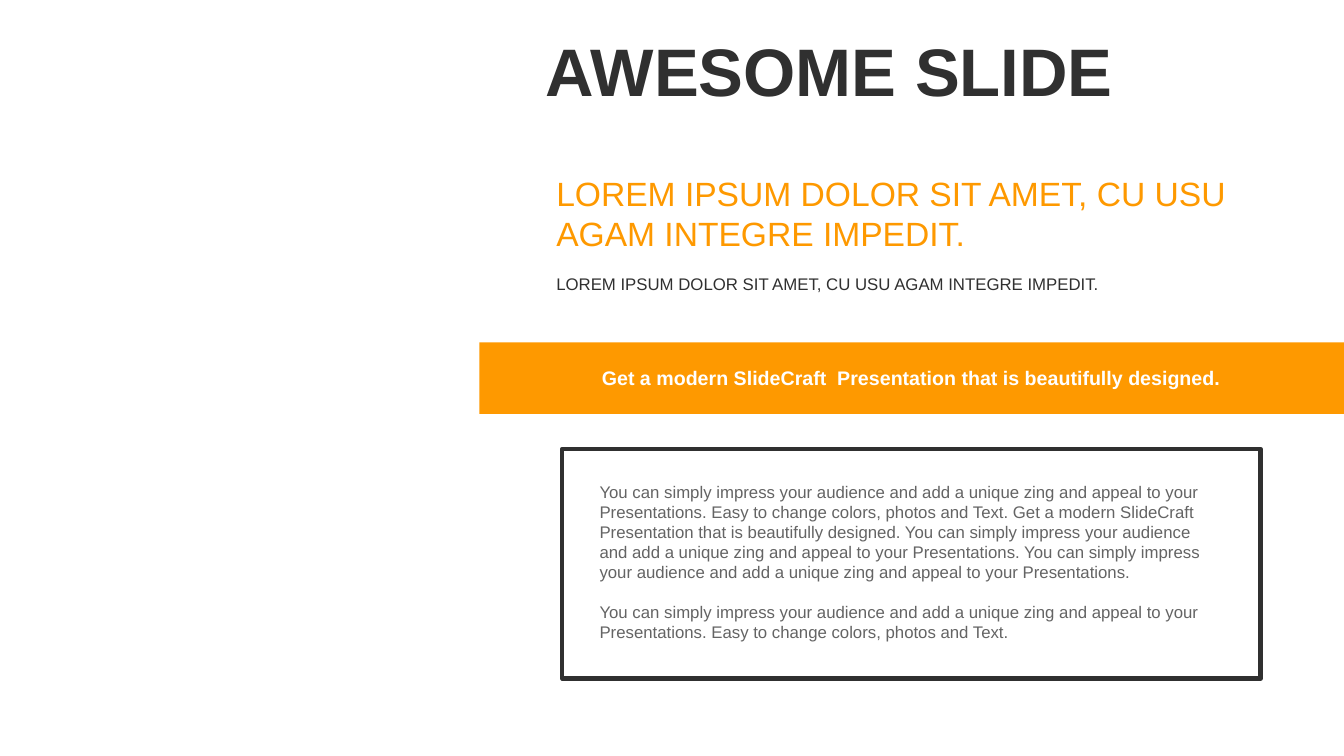
"""Build a slide with a heading, an orange banner and a framed text block."""
from dataclasses import dataclass

from pptx import Presentation
from pptx.dml.color import RGBColor
from pptx.enum.shapes import MSO_SHAPE as Shape
from pptx.enum.text import MSO_ANCHOR as Anchor, MSO_AUTO_SIZE as AutoSize, PP_ALIGN as Align
from pptx.util import Cm, Pt


@dataclass(frozen=True)
class Theme:
    """Colours, font and type sizes of the slide."""
    font: str = "Arial"
    dark: str = "303030"
    accent: str = "FE9900"
    muted: str = "646464"
    light: str = "FFFFFF"
    title: int = 48
    headline: int = 24
    banner: int = 14
    body: int = 12


def write(frame, *texts, size, color, font, bold=False, align=Align.LEFT, spacing=None, gap=0):
    """Write each text as a paragraph, with the gap between paragraphs."""
    for index, text in enumerate(texts):
        para = frame.add_paragraph() if index else frame.paragraphs[0]
        para.alignment = align
        if spacing:
            para.line_spacing = spacing
        if index:
            para.space_before = Pt(gap)
        span = para.add_run()
        span.text = text
        span.font.name = font
        span.font.size = Pt(size)
        span.font.bold = bold
        span.font.color.rgb = RGBColor.from_string(color)


class PageBuilder:
    """Place styled elements on the current page."""

    def __init__(self, page, theme):
        self.page = page
        self.theme = theme

    def rectangle(self, left, top, width, height, fill=None, line=None, weight=3):
        """Add a plain rectangle with an optional fill and outline."""
        box = self.page.shapes.add_shape(
            Shape.RECTANGLE, Cm(left), Cm(top), Cm(width), Cm(height))
        box.shadow.inherit = False
        if fill:
            box.fill.solid()
            box.fill.fore_color.rgb = RGBColor.from_string(fill)
        else:
            box.fill.background()
        if line:
            box.line.color.rgb = RGBColor.from_string(line)
            box.line.width = Pt(weight)
        else:
            box.line.fill.background()

    def text(self, left, top, width, height, *texts, anchor=Anchor.TOP, grow=True, **style):
        """Add a wrapping text box."""
        box = self.page.shapes.add_textbox(Cm(left), Cm(top), Cm(width), Cm(height))
        frame = box.text_frame
        frame.word_wrap = True
        frame.auto_size = AutoSize.SHAPE_TO_FIT_TEXT if grow else AutoSize.NONE
        frame.vertical_anchor = anchor
        write(frame, *texts, font=self.theme.font, **style)


def main():
    """Compose and save the deck."""
    theme = Theme()
    deck = Presentation()
    deck.slide_width, deck.slide_height = Cm(33.87), Cm(19.05)
    builder = PageBuilder(deck.slides.add_slide(deck.slide_layouts[6]), theme)

    lorem = "LOREM IPSUM DOLOR SIT AMET, CU USU AGAM INTEGRE IMPEDIT."
    impress = ("You can simply impress your audience and add a unique zing "
               "and appeal to your Presentations.")
    change = "Easy to change colors, photos and Text."
    modern = "Get a modern SlideCraft  Presentation that is beautifully designed."

    builder.text(13.51, 0.89, 15.21, 1.98, "AWESOME SLIDE", anchor=Anchor.MIDDLE, grow=False,
                 size=theme.title, color=theme.dark, bold=True, spacing=0.9)
    builder.text(13.77, 4.22, 18.01, 2.31, lorem, anchor=Anchor.MIDDLE,
                 size=theme.headline, color=theme.accent)
    builder.text(13.77, 6.76, 18.01, 0.76, lorem, anchor=Anchor.MIDDLE,
                 size=theme.body, color=theme.dark)

    builder.rectangle(12.08, 8.63, 21.79, 1.8, fill=theme.accent)
    builder.text(14.17, 9.09, 17.6, 0.86, modern, size=theme.banner, color=theme.light,
                 bold=True, align=Align.CENTER)

    builder.rectangle(14.17, 11.31, 17.6, 5.79, line=theme.dark)
    builder.text(14.86, 12.01, 16.23, 4.37,
                 f"{impress} {change} {modern} {impress} {impress}", f"{impress} {change}",
                 size=theme.body, color=theme.muted, gap=14)

    deck.save("out.pptx")


if __name__ == "__main__":
    main()
